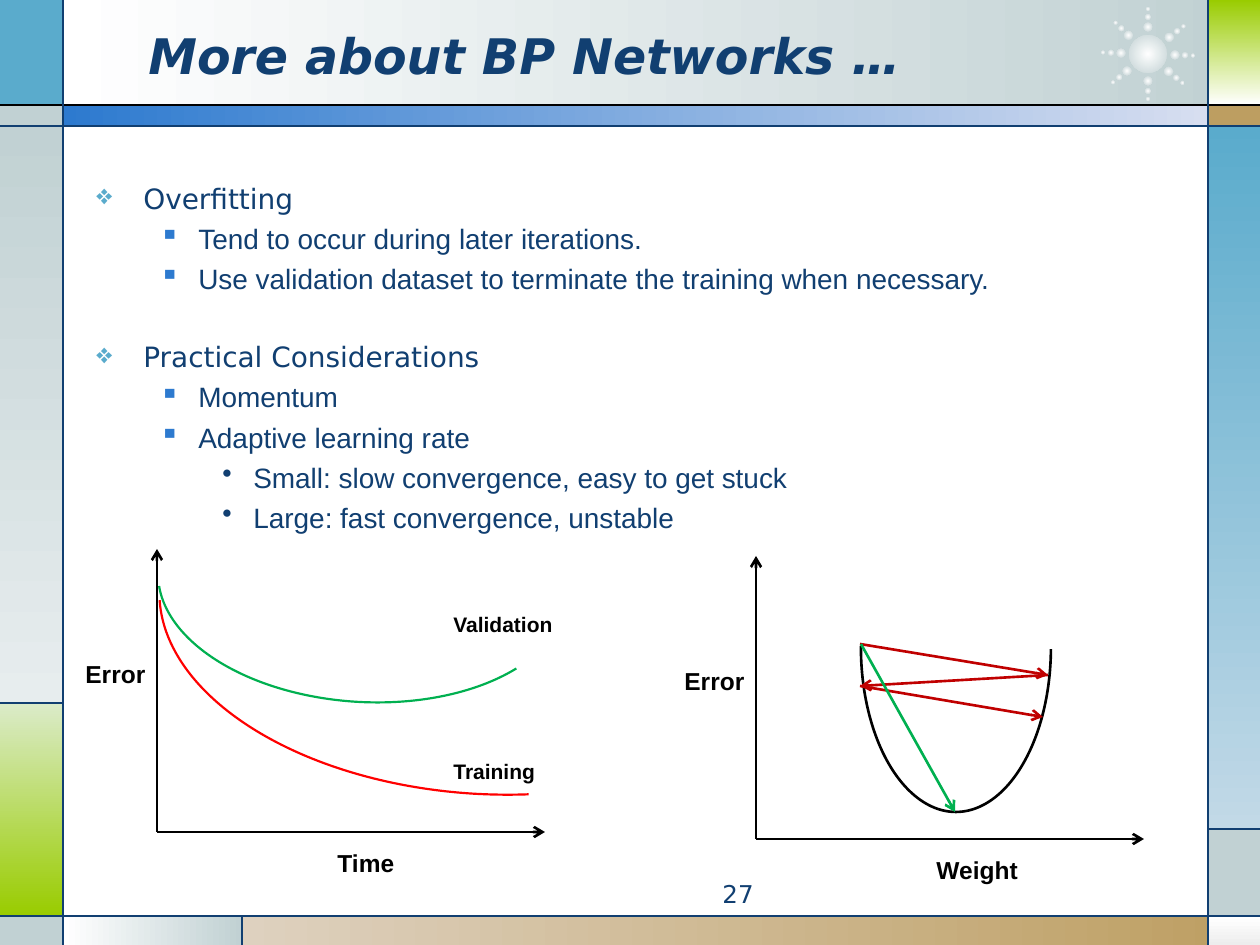
from math import cos, radians, sin

from lxml.etree import SubElement
from pptx import Presentation
from pptx.dml.color import RGBColor
from pptx.enum.shapes import MSO_CONNECTOR, MSO_SHAPE
from pptx.enum.text import MSO_ANCHOR, MSO_AUTO_SIZE, PP_ALIGN
from pptx.oxml.ns import qn
from pptx.util import Pt

WIDTH, HEIGHT = 1260, 945
NAVY, BLACK, WHITE = "113F71", "000000", "FFFFFF"
SKY, MIST, LIME, TAN = "5AABCC", "C1D1D3", "99CC00", "BD9E61"
BLUE, RED, CRIMSON, GREEN = "2D7ACF", "FF0000", "C00000", "00B050"
ACROSS, DOWN = 0, 270


def px(length):
    return round(length * 914400 / 126)


def color(value):
    return RGBColor.from_string(value)


class Canvas:
    def __init__(self):
        self.deck = Presentation()
        self.deck.slide_width, self.deck.slide_height = px(WIDTH), px(HEIGHT)
        self.slide = self.deck.slides.add_slide(self.deck.slide_layouts[6])
        self.shapes = self.slide.shapes
        self.body = {"name": "DejaVu Sans", "size": Pt(16), "color": NAVY}

    def style(self, font, **changes):
        for key, value in {**self.body, **changes}.items():
            if key == "color":
                font.color.rgb = color(value)
            else:
                setattr(font, key, value)

    def preset(self, kind, left, top, width, height):
        shape = self.shapes.add_shape(kind, px(left), px(top), px(width), px(height))
        shape.shadow.inherit = False
        return shape

    def fade(self, shape, colors, angle=ACROSS):
        shape.fill.gradient()
        shape.fill.gradient_angle = angle
        for stop, value, position in zip(shape.fill.gradient_stops, colors, (0, 1)):
            stop.color.rgb = color(value)
            stop.position = position

    def panel(self, left, top, width, height, colors, angle=ACROSS):
        tile = self.preset(MSO_SHAPE.RECTANGLE, left, top, width, height)
        tile.line.fill.background()
        if isinstance(colors, str):
            tile.fill.solid()
            tile.fill.fore_color.rgb = color(colors)
        else:
            self.fade(tile, colors, angle)

    def glow(self, x, y, size):
        dot = self.preset(MSO_SHAPE.OVAL, x - size / 2, y - size / 2, size, size)
        dot.line.fill.background()
        self.fade(dot, (WHITE, MIST))
        gradient = dot.fill._xPr.find(qn("a:gradFill"))
        gradient.remove(gradient.find(qn("a:lin")))
        center = SubElement(gradient, qn("a:path"), {"path": "circle"})
        SubElement(center, qn("a:fillToRect"), dict.fromkeys("ltrb", "50000"))

    def arc(self, left, top, width, height, angles, stroke, weight, rotation=0):
        curve = self.preset(MSO_SHAPE.ARC, left, top, width, height)
        for index, angle in enumerate(angles):
            curve.adjustments[index] = angle * 0.6
        curve.rotation = rotation
        curve.fill.background()
        curve.line.color.rgb = color(stroke)
        curve.line.width = Pt(weight)

    def line(self, start, end, stroke=NAVY, weight=0.75, arrow=False):
        rule = self.shapes.add_connector(
            MSO_CONNECTOR.STRAIGHT, *map(px, (*start, *end)))
        rule.line.color.rgb = color(stroke)
        rule.line.width = Pt(weight)
        if arrow:
            SubElement(rule.line._get_or_add_ln(), qn("a:tailEnd"), {"type": "arrow"})
        SubElement(rule._element.spPr, qn("a:effectLst"))

    def frame(self, left, top, width, height, **settings):
        box = self.shapes.add_textbox(px(left), px(top), px(width), px(height))
        for key, value in {"word_wrap": True, **settings}.items():
            setattr(box.text_frame, key, value)
        return box.text_frame

    def text(self, words, place, settings=None, align=PP_ALIGN.LEFT, **font):
        paragraph = self.frame(*place, **(settings or {})).paragraphs[0]
        paragraph.text = words
        paragraph.alignment = align
        self.style(paragraph.font, **font)

    def label(self, words, left, top, width, height, size):
        self.text(words, (left, top, width, height),
                  {"word_wrap": False, "auto_size": MSO_AUTO_SIZE.SHAPE_TO_FIT_TEXT},
                  name="Arial", size=Pt(size), color=BLACK, bold=True)

    def outline(self, entries, place):
        levels = [("❖", SKY, 47, 47, "DejaVu Sans"),
                  ("▪", BLUE, 102, 39, "Arial"),
                  ("•", NAVY, 157, 31, "Arial")]
        frame = self.frame(*place)
        for index, (level, words) in enumerate(entries):
            mark, tint, margin, hanging, face = levels[level]
            paragraph = frame.add_paragraph() if index else frame.paragraphs[0]
            paragraph.text = words
            paragraph.level = level
            if index:
                paragraph.space_before = Pt(3.7 if level else 25.7)
            properties = paragraph._p.get_or_add_pPr()
            properties.set("marL", str(px(margin)))
            properties.set("indent", str(-px(hanging)))
            bullet_color = SubElement(properties, qn("a:buClr"))
            SubElement(bullet_color, qn("a:srgbClr"), {"val": tint})
            SubElement(properties, qn("a:buChar"), {"char": mark})
            self.style(paragraph.font, name=face)

    def axes(self, x, y, title, title_width):
        for end in ((x + 388, y), (x, y - 283)):
            self.line((x, y), end, BLACK, 1.5, True)
        self.label(title, x + 168, y + 10, title_width, 43, 14)
        self.label("Error", x - 84, y - 179, 86, 43, 14)


def draw_background(canvas):
    for panel in [
        (63, 0, 1168, 105, (WHITE, MIST)),
        (0, 0, 63, 105, SKY),
        (0, 105, 63, 21, MIST),
        (0, 126, 63, 577, (MIST, "E7EDEE"), DOWN),
        (0, 703, 63, 213, ("DBEBC9", LIME), DOWN),
        (0, 916, 63, 29, MIST),
        (63, 916, 179, 29, (WHITE, MIST)),
        (242, 916, 1018, 29, ("DED1BF", TAN)),
        (1208, 916, 52, 29, (WHITE, "EDEDED"), DOWN),
        (1208, 829, 52, 87, MIST),
        (1208, 126, 52, 703, (SKY, "C2D9E7"), DOWN),
        (1208, 105, 52, 21, TAN),
        (1208, 0, 52, 105, (LIME, WHITE), DOWN),
        (63, 105, 1145, 21, (BLUE, "D7DEF0")),
    ]:
        canvas.panel(*panel)
    canvas.glow(1148, 54, 38)
    for angle in (2, 40, 90, 141, 182, 224, 270, 322):
        for radius, size in ((27, 9), (37, 6), (45, 4)):
            canvas.glow(1148 + radius * cos(radians(angle)),
                        54 + radius * sin(radians(angle)), size)
    canvas.line((0, 105), (WIDTH, 105), BLACK)
    for start, end in [
        ((0, 126), (WIDTH, 126)), ((0, 916), (WIDTH, 916)),
        ((63, 0), (63, HEIGHT)), ((1208, 0), (1208, HEIGHT)),
        ((63, 703), (0, 703)), ((242, 916), (242, HEIGHT)),
        ((1208, 829), (WIDTH, 829)),
    ]:
        canvas.line(start, end)


def draw_overfitting(canvas):
    canvas.arc(159, 420, 650, 374, (73, 177.6), RED, 1.25, 3.6)
    canvas.arc(158, 465, 410, 237, (25.4, 175.7), GREEN, 1.25, 3.6)
    canvas.axes(157, 832, "Time", 83)
    canvas.label("Training", 441, 752, 108, 38, 12)
    canvas.label("Validation", 441, 605, 126, 38, 12)


def draw_learning_rate(canvas):
    canvas.arc(861, 483, 190, 329, (1, 181), BLACK, 1.5)
    bounces = [(860, 644), (1048, 675), (860, 686), (1043, 717)]
    for start, end in zip(bounces, bounces[1:]):
        canvas.line(start, end, CRIMSON, 1.5, True)
    canvas.axes(756, 839, "Weight", 107)
    canvas.line((861, 644), (955, 812), GREEN, 1.5, True)


def main():
    canvas = Canvas()
    draw_background(canvas)
    canvas.text("More about BP Networks …", (136, 16, 924, 78),
                {"vertical_anchor": MSO_ANCHOR.MIDDLE},
                size=Pt(28), bold=True, italic=True)
    canvas.outline([
        (0, "Overfitting"),
        (1, "Tend to occur during later iterations."),
        (1, "Use validation dataset to terminate the training when necessary."),
        (0, "Practical Considerations"),
        (1, "Momentum"),
        (1, "Adaptive learning rate"),
        (2, "Small: slow convergence, easy to get stuck"),
        (2, "Large: fast convergence, unstable"),
    ], (84, 175, 1105, 380))
    canvas.text("27", (473, 873, 293, 34), align=PP_ALIGN.RIGHT, size=Pt(14))
    draw_overfitting(canvas)
    draw_learning_rate(canvas)
    canvas.deck.save("out.pptx")


if __name__ == "__main__":
    main()
